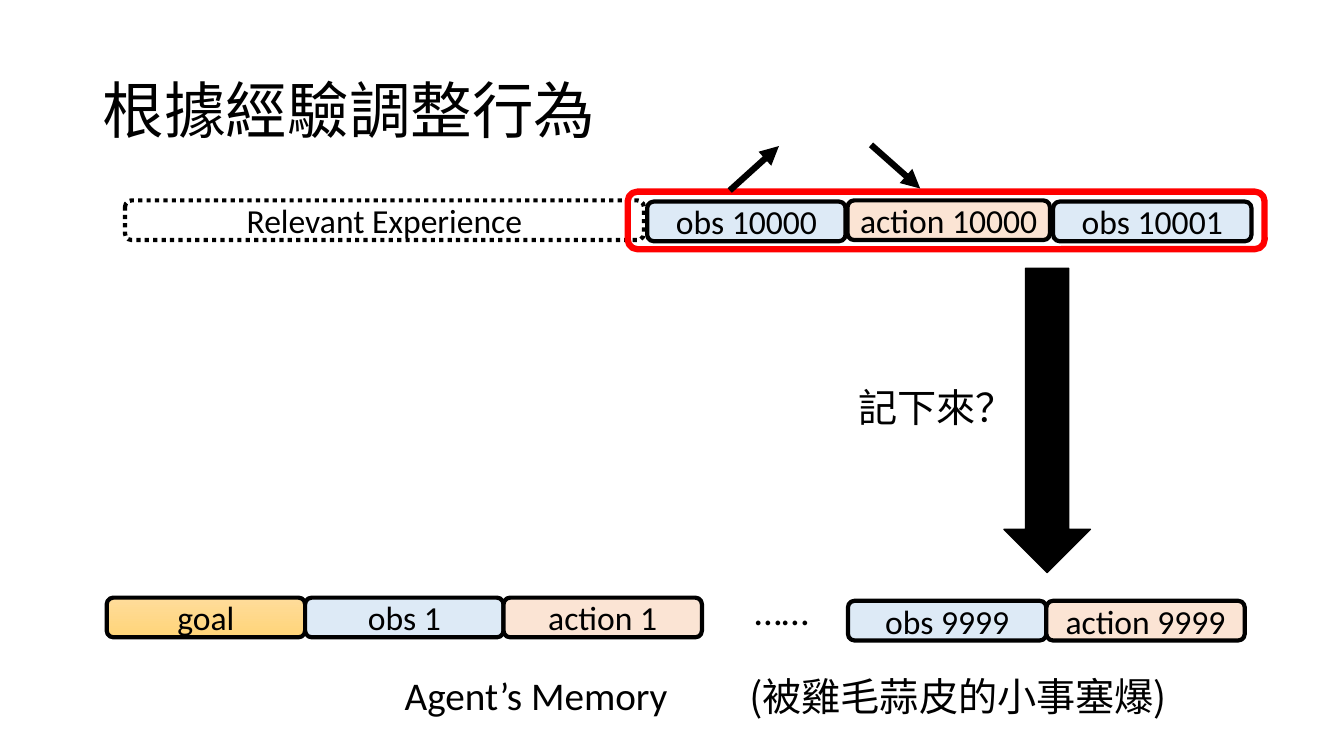
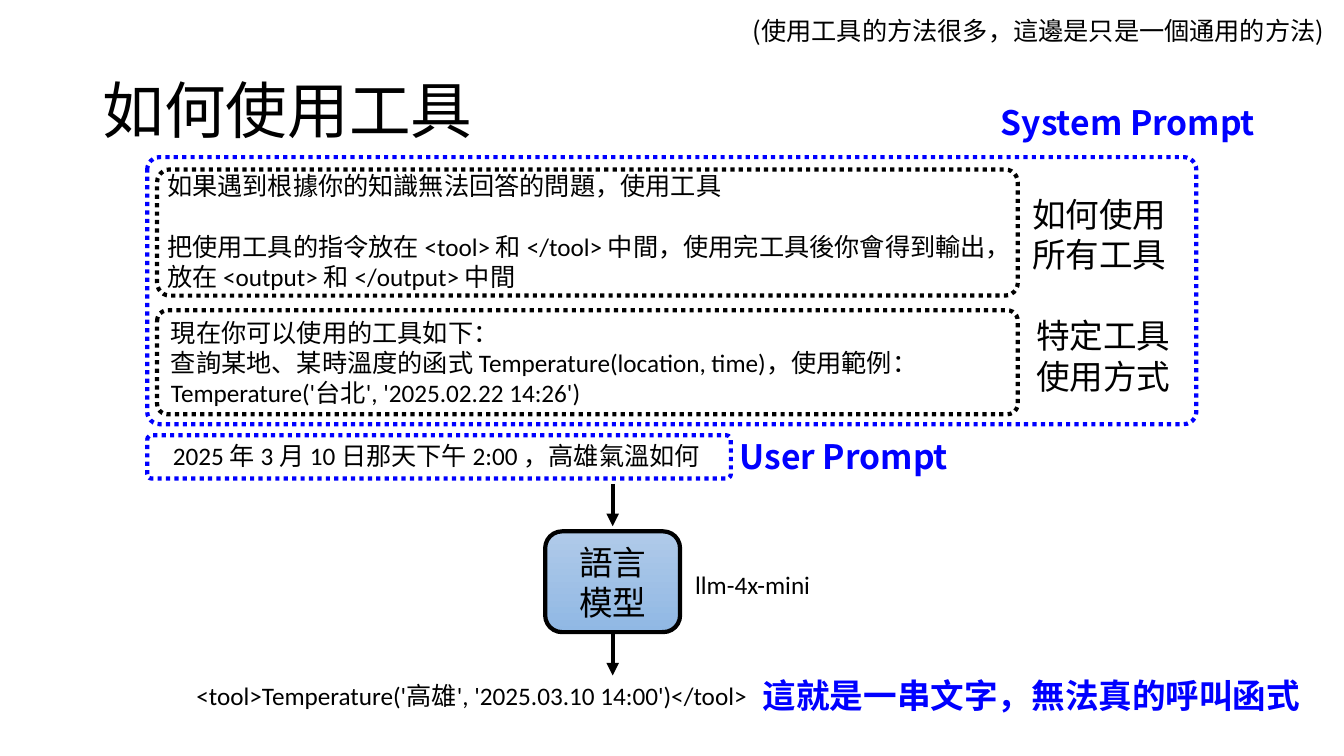
from collections import namedtuple
from dataclasses import dataclass

from lxml.etree import SubElement
from pptx import Presentation
from pptx.dml.color import RGBColor
from pptx.enum.dml import MSO_LINE
from pptx.enum.shapes import MSO_CONNECTOR, MSO_SHAPE
from pptx.enum.text import MSO_ANCHOR, PP_ALIGN
from pptx.oxml.ns import qn
from pptx.util import Cm, Pt


@dataclass(frozen=True)
class Theme:
    ink: str = "000000"
    accent: str = "0000FF"
    alert: str = "FF0000"
    obs: str = "DDEAF6"
    action: str = "FBE4D4"
    goal: tuple = ("FFDC9B", "FFD478")
    model: tuple = ("B0CAE9", "90B8E4")
    latin: str = "Calibri"
    cjk: str = "Noto Sans CJK TC"
    title: int = 44
    caption: int = 28
    label: int = 24
    body: int = 18
    line: float = 3
    heavy: float = 4.5


T = Theme()
CELL_W, CELL_H = 5, 1


class Box(namedtuple("Box", "x y w h")):
    """Rectangle in centimetres."""

    def inner(self, dx, dy, w, h):
        return Box(self.x + dx, self.y + dy, w, h)

    def emu(self):
        return [Cm(v) for v in self]


def rgb(value):
    return RGBColor.from_string(value)


def write(tf, text, size=T.body, font=T.latin, color=T.ink, bold=False,
          align=PP_ALIGN.LEFT, anchor=MSO_ANCHOR.TOP, spacing=None, gap=0):
    """Fill a text frame, one paragraph for each line of text."""
    tf.word_wrap = True
    tf.vertical_anchor = anchor
    for i, line in enumerate(text.split("\n")):
        p = tf.paragraphs[0] if i == 0 else tf.add_paragraph()
        p.alignment = align
        if spacing:
            p.line_spacing = spacing
        if i and gap:
            p.space_before = Pt(gap)
        r = p.add_run()
        r.text = line
        r.font.size, r.font.name, r.font.bold = Pt(size), font, bold
        r.font.color.rgb = rgb(color)
        SubElement(r.font._element, qn("a:ea")).set("typeface", T.cjk)


def add_text(s, box, text, **fmt):
    write(s.shapes.add_textbox(*box.emu()).text_frame, text, **fmt)


def add_box(s, box, text="", fill=None, line=T.ink, width=T.line, dotted=False,
            kind=MSO_SHAPE.ROUNDED_RECTANGLE, radius=0.167, **fmt):
    """Add an outlined shape; a pair of fill colours makes a gradient."""
    sp = s.shapes.add_shape(kind, *box.emu())
    sp.shadow.inherit = False
    if kind == MSO_SHAPE.ROUNDED_RECTANGLE:
        sp.adjustments[0] = radius
    if fill is None:
        sp.fill.background()
    elif isinstance(fill, tuple):
        sp.fill.gradient()
        sp.fill.gradient_angle = 270
        for stop, color in zip(sp.fill.gradient_stops, fill):
            stop.color.rgb = rgb(color)
    else:
        sp.fill.solid()
        sp.fill.fore_color.rgb = rgb(fill)
    sp.line.color.rgb = rgb(line)
    sp.line.width = Pt(width)
    if dotted:
        sp.line.dash_style = MSO_LINE.ROUND_DOT
    if text:
        style = {"size": T.label, "align": PP_ALIGN.CENTER, "anchor": MSO_ANCHOR.MIDDLE}
        write(sp.text_frame, text, **{**style, **fmt})


def add_arrow(s, x1, y1, x2, y2, width=T.line):
    c = s.shapes.add_connector(MSO_CONNECTOR.STRAIGHT, Cm(x1), Cm(y1), Cm(x2), Cm(y2))
    c.line.color.rgb = rgb(T.ink)
    c.line.width = Pt(width)
    sp_pr = c._element.spPr
    SubElement(sp_pr.find(qn("a:ln")), qn("a:tailEnd")).set("type", "triangle")
    SubElement(sp_pr, qn("a:effectLst"))


def add_slide(prs, title):
    s = prs.slides.add_slide(prs.slide_layouts[6])
    add_text(s, Box(2.34, 1.02, 29.21, 3.68), title, size=T.title, font=T.cjk,
             anchor=MSO_ANCHOR.MIDDLE, spacing=0.9)
    return s


def add_cells(s, box, cells):
    """Lay equal cells side by side from the left of the box."""
    for i, (text, fill) in enumerate(cells):
        add_box(s, box.inner(i * CELL_W, 0, CELL_W, CELL_H), text, fill)


def current_step(s, box):
    """Relevant experience and the newest steps, framed in red."""
    add_box(s, box.inner(0, 0, 13.08, CELL_H), "Relevant Experience", dotted=True)
    add_cells(s, box.inner(13.16, 0.03, CELL_W, CELL_H), [("obs 10000", T.obs)])
    add_box(s, box.inner(18.21, 0, 5.1, CELL_H), "action 10000", T.action)
    add_cells(s, box.inner(23.39, 0.03, CELL_W, CELL_H), [("obs 10001", T.obs)])
    add_box(s, box.inner(12.67, -0.22, 16.05, 1.45), line=T.alert, width=T.heavy)
    x, y = box.x, box.y
    add_arrow(s, x + 15.24, y - 0.25, x + 16.48, y - 1.37, T.heavy)
    add_arrow(s, x + 18.8, y - 1.4, x + 20.04, y - 0.3, T.heavy)


def memory_question(s, box):
    add_text(s, box.inner(0, 2.77, 5.74, 1.44), "記下來？", size=T.caption,
             font=T.cjk, align=PP_ALIGN.RIGHT)
    add_box(s, box.inner(5.21, 0, 2.18, 7.67), fill=T.ink, width=1,
            kind=MSO_SHAPE.DOWN_ARROW)


def agent_memory(s, box):
    add_cells(s, box, [("goal", T.goal), ("obs 1", T.obs), ("action 1", T.action)])
    add_cells(s, box.inner(18.68, 0.08, 2 * CELL_W, CELL_H),
              [("obs 9999", T.obs), ("action 9999", T.action)])
    captions = [(15.04, -0.4, 3.94, "……", T.latin),
                (3.1, 1.73, 15.44, "Agent’s Memory", T.latin),
                (13.74, 1.75, 15.44, "(被雞毛蒜皮的小事塞爆)", T.cjk)]
    for dx, dy, w, text, font in captions:
        add_text(s, box.inner(dx, dy, w, 1.44), text, size=T.caption, font=font,
                 align=PP_ALIGN.CENTER)


def add_accent(s, box, text, **fmt):
    add_text(s, box, text, size=T.label, font=T.cjk, color=T.accent, bold=True, **fmt)


def instruction(s, box, text, label, text_offset, label_offset, gap=0):
    """Dotted frame with instructions and a label to its right."""
    add_box(s, box, dotted=True, radius=0.101)
    dx, dy, w = text_offset
    add_text(s, box.inner(dx, dy, w, box.h), text, gap=gap)
    dx, dy = label_offset
    add_text(s, box.inner(box.w + dx, dy, 4.29, 2.31), label, size=T.label, font=T.cjk)


def system_prompt(s, box):
    add_box(s, box, line=T.accent, dotted=True, radius=0.047)
    add_accent(s, box.inner(20.78, -1.52, 7.87, 1.27), "System Prompt",
               align=PP_ALIGN.CENTER)
    instruction(
        s, box.inner(0.25, 0.31, 21.69, 3.18),
        "如果遇到根據你的知識無法回答的問題，使用工具\n"
        "把使用工具的指令放在 <tool> 和 </tool> 中間，使用完工具後你會得到輸出，"
        "放在 <output> 和 </output> 中間",
        "如何使用所有工具", (0, -0.1, 21.69), (0.11, 0.48), gap=22)
    instruction(
        s, box.inner(0.25, 3.86, 21.69, 2.62),
        "現在你可以使用的工具如下：\n"
        "查詢某地、某時溫度的函式 Temperature(location, time)，使用範例："
        "Temperature('台北', '2025.02.22 14:26')",
        "特定工具使用方式", (0.1, 0.05, 22.66), (0.21, 0))


def user_prompt(s, box):
    add_box(s, box, line=T.accent, dotted=True, radius=0.101)
    add_text(s, box.inner(0.4, 0, 21.34, 1.02),
             "2025 年 3 月 10 日那天下午 2:00 ，高雄氣溫如何")
    add_accent(s, box.inner(box.w - 0.03, -0.1, 6.17, 1.27), "User Prompt")


def model_call(s, box):
    add_box(s, box, "語言\n模型", T.model, font=T.cjk)
    add_text(s, box.inner(3.53, 0.84, 8.76, 1.02), "llm-4x-mini")
    x = box.x + box.w / 2
    for y in (box.y - 1.2, box.y + box.h + 0.02):
        add_arrow(s, x, y, x, y + 1.07)
    add_text(s, box.inner(-9.04, 3.63, 16.94, 1.02),
             "<tool>Temperature('高雄', '2025.03.10 14:00')</tool>")
    add_accent(s, box.inner(5.23, 3.5, 14.38, 1.27), "這就是一串文字，無法真的呼叫函式")


def experience_slide(prs):
    s = add_slide(prs, "根據經驗調整行為")
    current_step(s, Box(3.15, 5.05, 28.72, CELL_H))
    memory_question(s, Box(20.09, 6.76, 7.39, 7.67))
    agent_memory(s, Box(2.69, 15.06, 28.7, CELL_H))


def tool_slide(prs):
    s = add_slide(prs, "如何使用工具")
    add_text(s, Box(18.72, 0.25, 15.47, 1.02),
             "(使用工具的方法很多，這邊是只是一個通用的方法)", font=T.cjk)
    system_prompt(s, Box(3.71, 3.96, 26.44, 6.73))
    user_prompt(s, Box(3.71, 10.97, 14.71, 1.09))
    model_call(s, Box(13.74, 13.39, 3.4, 2.54))


def main():
    prs = Presentation()
    prs.slide_width, prs.slide_height = Cm(33.87), Cm(19.05)
    experience_slide(prs)
    tool_slide(prs)
    prs.save("out.pptx")


if __name__ == "__main__":
    main()
